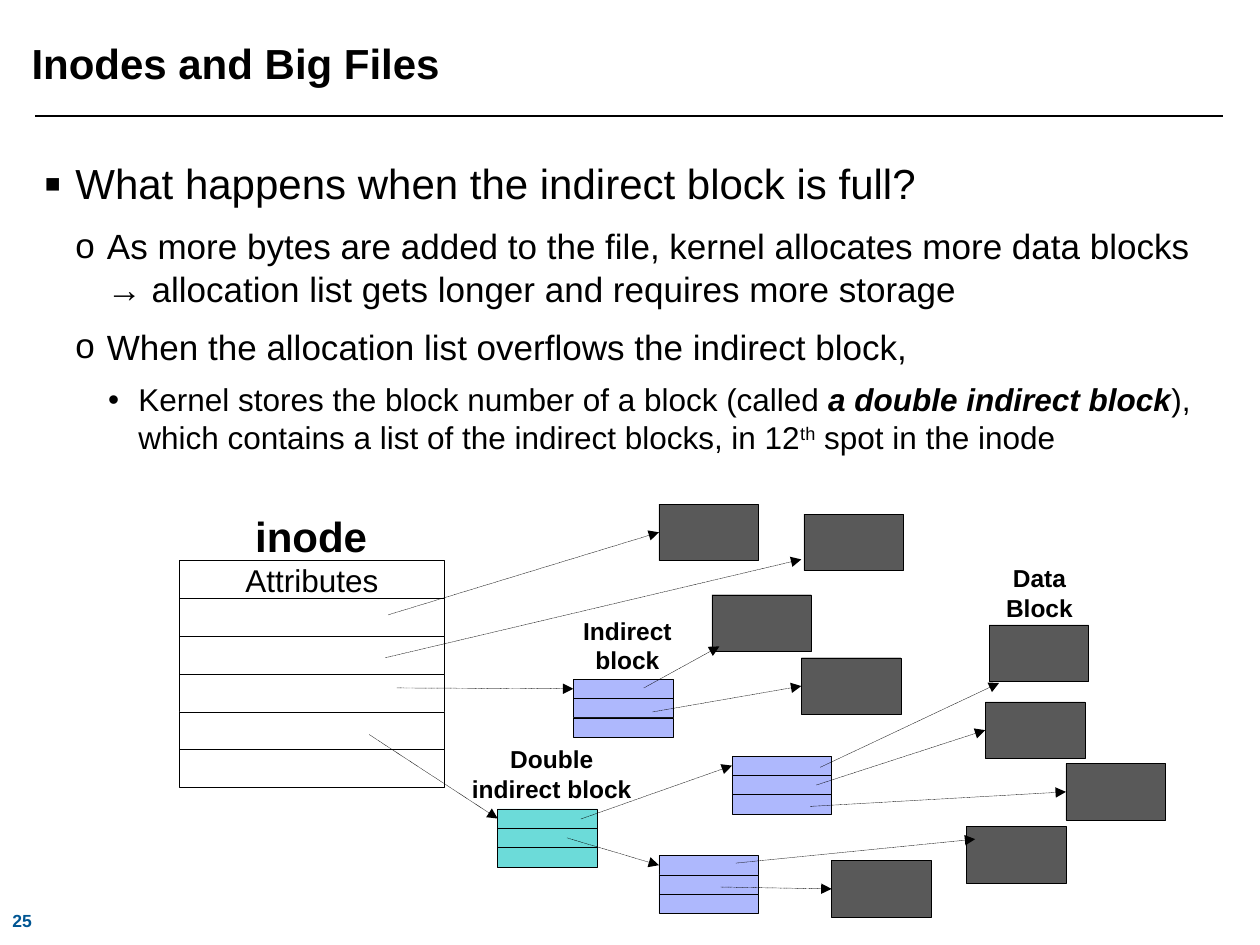
from dataclasses import dataclass

from lxml import etree
from pptx import Presentation
from pptx.dml.color import RGBColor
from pptx.enum.dml import MSO_LINE
from pptx.enum.shapes import MSO_CONNECTOR, MSO_SHAPE
from pptx.enum.text import MSO_ANCHOR, PP_ALIGN
from pptx.oxml.ns import qn
from pptx.util import Inches, Pt

STRAIGHT = MSO_CONNECTOR.STRAIGHT
RECTANGLE = MSO_SHAPE.RECTANGLE
DOTTED = MSO_LINE.ROUND_DOT
TOP, MIDDLE = MSO_ANCHOR.TOP, MSO_ANCHOR.MIDDLE
LEFT, CENTER = PP_ALIGN.LEFT, PP_ALIGN.CENTER
LEFT_SIDE = 1

BLACK = RGBColor(0x00, 0x00, 0x00)
WHITE = RGBColor(0xFF, 0xFF, 0xFF)
GRAY = RGBColor(0x59, 0x59, 0x59)
LAVENDER = RGBColor(0xAE, 0xB8, 0xFD)
TEAL = RGBColor(0x6C, 0xDB, 0xD9)
BLUE = RGBColor(0x00, 0x56, 0x93)

BASE_FONT = {"name": "Arial", "size": Pt(18), "bold": False, "italic": False}
BOLD_ITALIC = {"bold": True, "italic": True}


@dataclass
class Label:
    lines: list
    box: tuple
    size: int = 14
    color: RGBColor = BLACK
    align: int = CENTER
    anchor: int = TOP
    wrap: bool = True
    margins: tuple = (0.1, 0.05)


@dataclass
class Level:
    bullet: str
    bullet_size: int
    indent: float
    hanging: float
    size: int
    before: float
    after: float


@dataclass
class Stack:
    name: str
    left: float
    top: float
    width: float
    height: float
    rows: int
    color: RGBColor


@dataclass
class Arrow:
    start: tuple
    end: tuple
    target: str = ""


LEVELS = [
    Level("▪", 120, 0.25, 0.25, 24, 0, 4.1),
    Level("o", 100, 0.5, 0.25, 20, 5.75, 3.45),
    Level("•", 100, 0.75, 0.24, 18, 4.1, 0),
]

OUTLINE = [
    (0, [("What happens when the indirect block is full?", {})]),
    (1, [("As more bytes are added to the file, kernel allocates more data blocks "
          "→ allocation list gets longer and requires more storage", {})]),
    (1, [("When the allocation list overflows the indirect block,", {})]),
    (2, [("Kernel stores the block number of a block (called ", {}),
         ("a double indirect block", BOLD_ITALIC),
         ("), which contains a list of the indirect blocks, in 12", {}),
         ("th", {"superscript": True}),
         (" spot in the inode", {})]),
]

LABELS = [
    Label(["Inodes and Big Files"], (0.25, 0.25, 9.42, 0.5), 24,
          align=LEFT, anchor=MIDDLE, margins=(0, 0)),
    Label(["Double indirect block"], (3.61, 5.86, 1.54, 0.57)),
    Label(["Data", "Block"], (7.48, 4.42, 1.54, 0.57)),
    Label(["inode"], (1.92, 4, 1.1, 0.5), 24, wrap=False),
    Label(["Indirect block"], (4.5, 4.84, 0.96, 0.57)),
    Label(["25"], (0, 7.17, 0.55, 0.3), 10, BLUE, LEFT),
]

DATA_POSITIONS = [
    (5.23, 4), (6.38, 4.08), (5.65, 4.72), (6.36, 5.22), (7.85, 4.96),
    (7.82, 5.57), (8.46, 6.06), (7.67, 6.56), (6.6, 6.83),
]

STACKS = [
    Stack("inode", 1.42, 4.45, 2.11, 1.8, 6, WHITE),
    Stack("indirect", 4.55, 5.39, 0.79, 0.46, 3, LAVENDER),
    Stack("double", 3.95, 6.42, 0.79, 0.46, 3, TEAL),
    Stack("upper", 5.81, 6, 0.79, 0.46, 3, LAVENDER),
    Stack("lower", 5.23, 6.79, 0.79, 0.46, 3, LAVENDER),
] + [Stack(f"data{number}", left, top, 0.79, 0.45, 1, GRAY)
     for number, (left, top) in enumerate(DATA_POSITIONS)]

ARROWS = [
    Arrow((3.08, 4.88), (5.23, 4.23), "data0"),
    Arrow((3.06, 5.22), (6.36, 4.44)),
    Arrow((3.15, 5.46), (4.55, 5.47), "indirect"),
    Arrow((2.93, 5.83), (3.95, 6.49), "double"),
    Arrow((5.11, 5.46), (5.71, 5.13)),
    Arrow((5.18, 5.65), (6.36, 5.45), "data3"),
    Arrow((4.61, 6.5), (5.81, 6.08), "upper"),
    Arrow((4.5, 6.65), (5.23, 6.87), "lower"),
    Arrow((6.51, 6.09), (7.93, 5.42)),
    Arrow((6.48, 6.23), (7.82, 5.79), "data5"),
    Arrow((6.43, 6.4), (8.46, 6.29), "data6"),
    Arrow((5.84, 6.85), (7.74, 6.66)),
    Arrow((5.72, 7.04), (6.6, 7.05), "data8"),
]


def add_run(paragraph, text: str, color: RGBColor = BLACK, **changes) -> None:
    run = paragraph.add_run()
    run.text = text
    superscript = changes.pop("superscript", False)
    for attribute, value in (BASE_FONT | changes).items():
        setattr(run.font, attribute, value)
    run.font.color.rgb = color
    if superscript:
        run._r.get_or_add_rPr().set("baseline", "30000")


def add_label(slide, label: Label) -> None:
    frame = slide.shapes.add_textbox(*map(Inches, label.box)).text_frame
    horizontal, vertical = map(Inches, label.margins)
    settings = {
        "word_wrap": label.wrap, "vertical_anchor": label.anchor,
        "margin_left": horizontal, "margin_right": horizontal,
        "margin_top": vertical, "margin_bottom": vertical,
    }
    for attribute, value in settings.items():
        setattr(frame, attribute, value)
    for index, line in enumerate(label.lines):
        paragraph = frame.add_paragraph() if index else frame.paragraphs[0]
        paragraph.alignment = label.align
        add_run(paragraph, line, label.color, size=Pt(label.size), bold=True)


def add_outline(slide) -> None:
    box = slide.shapes.add_textbox(Inches(0.25), Inches(1.2), Inches(9.42), Inches(5.8))
    frame = box.text_frame
    frame.word_wrap = True
    for index, (depth, runs) in enumerate(OUTLINE):
        level = LEVELS[depth]
        paragraph = frame.add_paragraph() if index else frame.paragraphs[0]
        paragraph.level = depth
        paragraph.space_before = Pt(level.before)
        paragraph.space_after = Pt(level.after)
        properties = paragraph._p.get_or_add_pPr()
        properties.set("marL", str(Inches(level.indent)))
        properties.set("indent", str(-Inches(level.hanging)))
        color = etree.SubElement(properties, qn("a:buClr"))
        etree.SubElement(color, qn("a:srgbClr"), val=str(BLACK))
        etree.SubElement(properties, qn("a:buSzPct"), val=str(level.bullet_size * 1000))
        etree.SubElement(properties, qn("a:buFont"), typeface="Arial")
        etree.SubElement(properties, qn("a:buChar"), char=level.bullet)
        for text, changes in runs:
            add_run(paragraph, text, size=Pt(level.size), **changes)


def add_stack(slide, stack: Stack) -> list:
    height = Inches(stack.height / stack.rows)
    shapes = []
    for row in range(stack.rows):
        shape = slide.shapes.add_shape(
            RECTANGLE, Inches(stack.left), Inches(stack.top) + row * height,
            Inches(stack.width), height)
        shape.shadow.inherit = False
        shape.fill.solid()
        shape.fill.fore_color.rgb = stack.color
        shape.line.color.rgb = BLACK
        shape.line.width = Pt(0.25)
        shapes.append(shape)
    return shapes


def add_line(slide, start: tuple, end: tuple, width: float):
    connector = slide.shapes.add_connector(STRAIGHT, *map(Inches, start + end))
    connector.line.color.rgb = BLACK
    connector.line.width = Pt(width)
    etree.SubElement(connector._element.spPr, qn("a:effectLst"))
    return connector


def add_arrow(slide, arrow: Arrow, stacks: dict) -> None:
    connector = add_line(slide, arrow.start, arrow.end, 0.25)
    connector.line.dash_style = DOTTED
    etree.SubElement(connector.line._get_or_add_ln(), qn("a:tailEnd"), type="triangle")
    if arrow.target:
        connector.end_connect(stacks[arrow.target][0], LEFT_SIDE)


def main() -> None:
    presentation = Presentation()
    presentation.slide_width, presentation.slide_height = Inches(10), Inches(7.5)
    slide = presentation.slides.add_slide(presentation.slide_layouts[6])
    add_line(slide, (0.28, 0.92), (9.71, 0.92), 0.75)
    add_outline(slide)
    stacks = {stack.name: add_stack(slide, stack) for stack in STACKS}
    frame = stacks["inode"][0].text_frame
    frame.word_wrap = False
    frame.vertical_anchor = MIDDLE
    frame.paragraphs[0].alignment = CENTER
    add_run(frame.paragraphs[0], "Attributes")
    for arrow in ARROWS:
        add_arrow(slide, arrow, stacks)
    for label in LABELS:
        add_label(slide, label)
    presentation.save("out.pptx")


if __name__ == "__main__":
    main()
